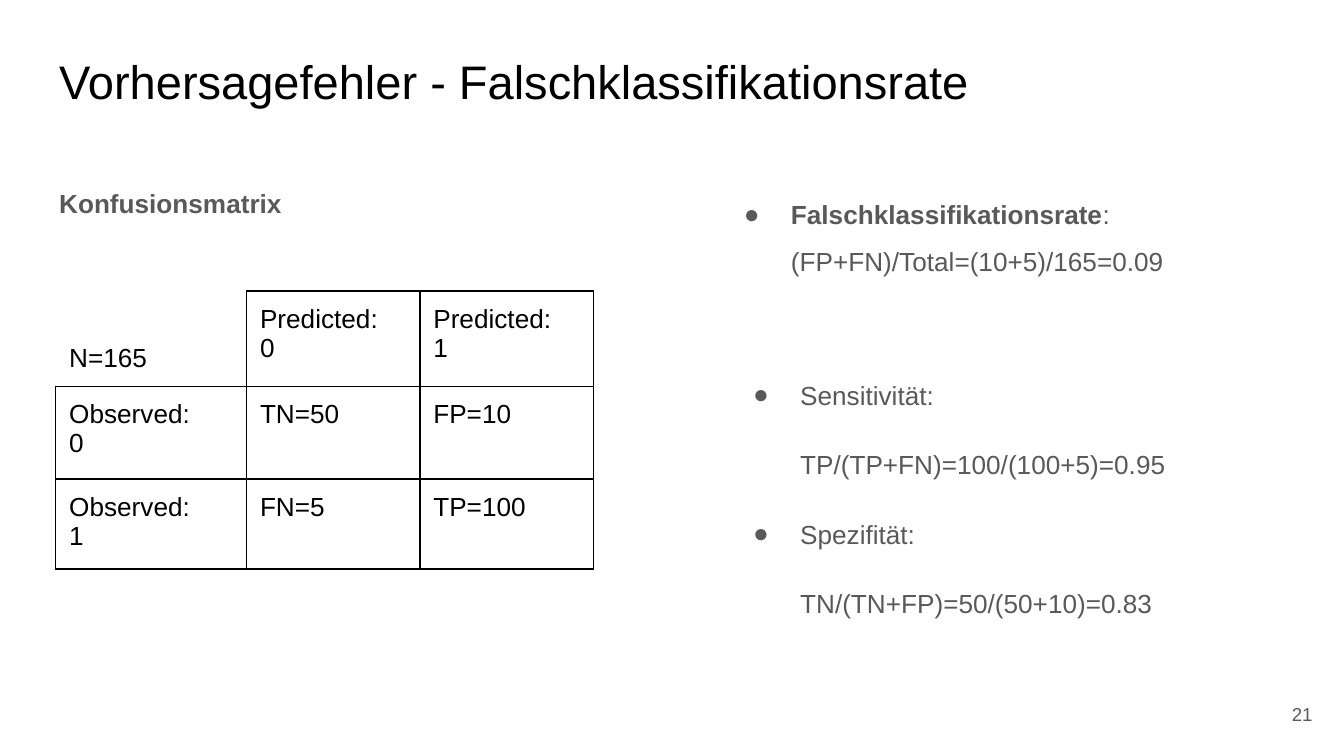
from pptx import Presentation
from pptx.enum.text import MSO_ANCHOR, MSO_AUTO_SIZE, PP_ALIGN
from pptx.dml.color import RGBColor
from pptx.oxml import parse_xml
from pptx.oxml.ns import nsdecls
from pptx.util import Pt

PX = 4572
PAD = 20
FONT = "Arial"
COLORS = {"ink": "000000", "gray": "595959"}


def scale(*sizes):
    return [size * PX for size in sizes]


def place(shape, box):
    shape.left, shape.top, shape.width, shape.height = scale(*box)


def mark(para, bullet, left, hang):
    props = para._p.get_or_add_pPr()
    props.set("marL", str(left * PX))
    props.set("indent", str(-hang * PX))
    if bullet:
        tags = [
            f'<a:buClr {nsdecls("a")}><a:srgbClr val="{COLORS["gray"]}"/></a:buClr>',
            f'<a:buFont {nsdecls("a")} typeface="{FONT}"/>',
            f'<a:buChar {nsdecls("a")} char="●"/>',
        ]
    else:
        tags = [f'<a:buNone {nsdecls("a")}/>']
    for tag in tags:
        props.append(parse_xml(tag))


def write(para, text, size=14, color="gray", bold=False, align=PP_ALIGN.LEFT,
          line=1.0, before=0, after=0, bullet=False, left=0, tail=""):
    mark(para, bullet, left, 70 if bullet else 0)
    para.alignment = align
    para.line_spacing = line
    para.space_before, para.space_after = Pt(before), Pt(after)
    for words, heavy in ((text, bold), (tail, False)):
        if words:
            run = para.add_run()
            run.text = words
            run.font.name, run.font.size = FONT, Pt(size)
            run.font.bold = heavy
            run.font.color.rgb = RGBColor.from_string(COLORS[color])


def inset(area):
    area.margin_left = area.margin_right = PAD * PX
    area.margin_top = area.margin_bottom = PAD * PX


def setup(shape, box, anchor=MSO_ANCHOR.TOP):
    place(shape, box)
    frame = shape.text_frame
    frame.word_wrap = True
    frame.auto_size = MSO_AUTO_SIZE.NONE
    frame.vertical_anchor = anchor
    inset(frame)
    return frame


def edge(cell, sides):
    props = cell._tc.get_or_add_tcPr()
    for side in "LRTB":
        fill = (f'<a:solidFill><a:srgbClr val="{COLORS["ink"]}"/></a:solidFill>'
                if side in sides else "<a:noFill/>")
        props.append(parse_xml(
            f'<a:ln{side} {nsdecls("a")} w="{Pt(0.75)}">{fill}</a:ln{side}>'))


def matrix(slide, box):
    rows = [
        ["N=165", "Predicted:\n0", "Predicted:\n1"],
        ["Observed:\n0", "TN=50", "FP=10"],
        ["Observed:\n1", "FN=5", "TP=100"],
    ]
    holder = slide.shapes.add_table(3, 3, *scale(*box))
    grid = holder.table
    grid.first_row = grid.horz_banding = False
    for col, width in zip(grid.columns, scale(284, 258, 258)):
        col.width = width
    for row, height in zip(grid.rows, scale(142, 138, 134)):
        row.height = height
    place(holder, box)
    for r, texts in enumerate(rows):
        for c, text in enumerate(texts):
            cell = grid.cell(r, c)
            corner = r == c == 0
            edge(cell, "RB" if corner else "LRTB")
            cell.fill.background()
            cell.vertical_anchor = MSO_ANCHOR.BOTTOM if corner else MSO_ANCHOR.TOP
            inset(cell)
            frame = cell.text_frame
            for i, part in enumerate(text.split("\n")):
                para = frame.add_paragraph() if i else frame.paragraphs[0]
                write(para, part, color="ink")


def head(slide, box):
    frame = setup(slide.shapes.title, box)
    write(frame.paragraphs[0], "Vorhersagefehler - Falschklassifikationsrate",
          size=25.2, color="ink")


def label(slide, box):
    frame = setup(slide.placeholders[1], box)
    write(frame.paragraphs[0], "Konfusionsmatrix", bold=True, line=1.15, after=12)


def error(slide, box):
    frame = setup(slide.placeholders[2], box)
    write(frame.paragraphs[0], "Falschklassifikationsrate", bold=True, line=1.5,
          bullet=True, left=100, tail=": (FP+FN)/Total=(10+5)/165=0.09")


def rates(slide, box):
    frame = setup(slide.shapes.add_textbox(0, 0, 0, 0), box)
    lines = ["Sensitivität:", "TP/(TP+FN)=100/(100+5)=0.95",
             "Spezifität:", "TN/(TN+FP)=50/(50+10)=0.83"]
    for i, text in enumerate(lines):
        para = frame.add_paragraph() if i else frame.paragraphs[0]
        write(para, text, line=1.5, left=100, bullet=i % 2 == 0,
              before=12 if i else 0, after=12 if i == len(lines) - 1 else 0)


def number(slide, box):
    frame = setup(slide.shapes.add_textbox(0, 0, 0, 0), box, MSO_ANCHOR.MIDDLE)
    write(frame.paragraphs[0], "21", size=10, align=PP_ALIGN.RIGHT)


def main():
    deck = Presentation()
    deck.slide_width, deck.slide_height = scale(2000, 1125)
    slide = deck.slides.add_slide(deck.slide_layouts[3])
    head(slide, (68, 58, 1864, 126))
    matrix(slide, (83, 433, 656, 656))
    number(slide, (1853, 1020, 120, 86))
    label(slide, (68, 252, 874, 98))
    error(slide, (1057, 252, 874, 214))
    rates(slide, (1071, 521, 822, 400))
    deck.save("out.pptx")


if __name__ == "__main__":
    main()
